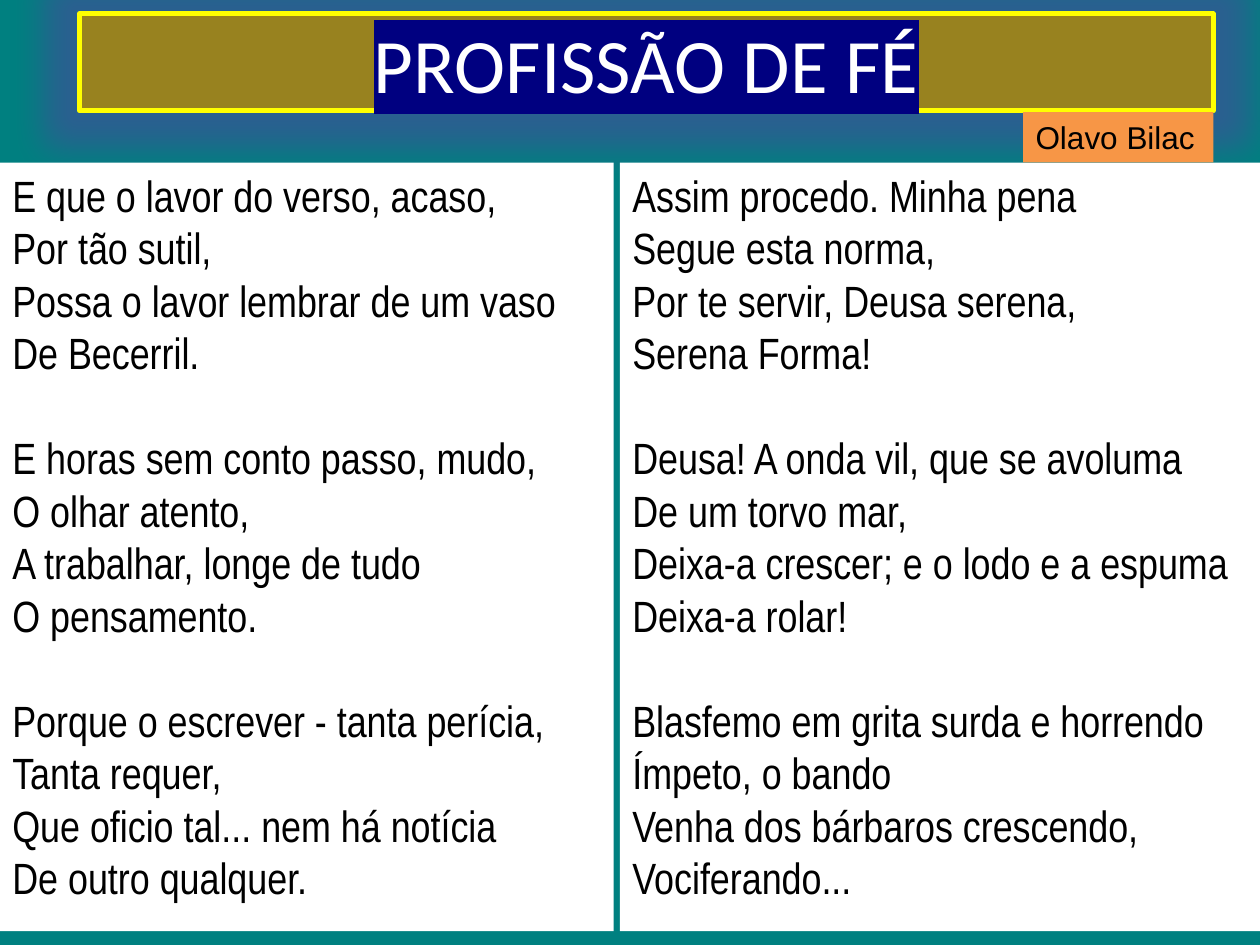
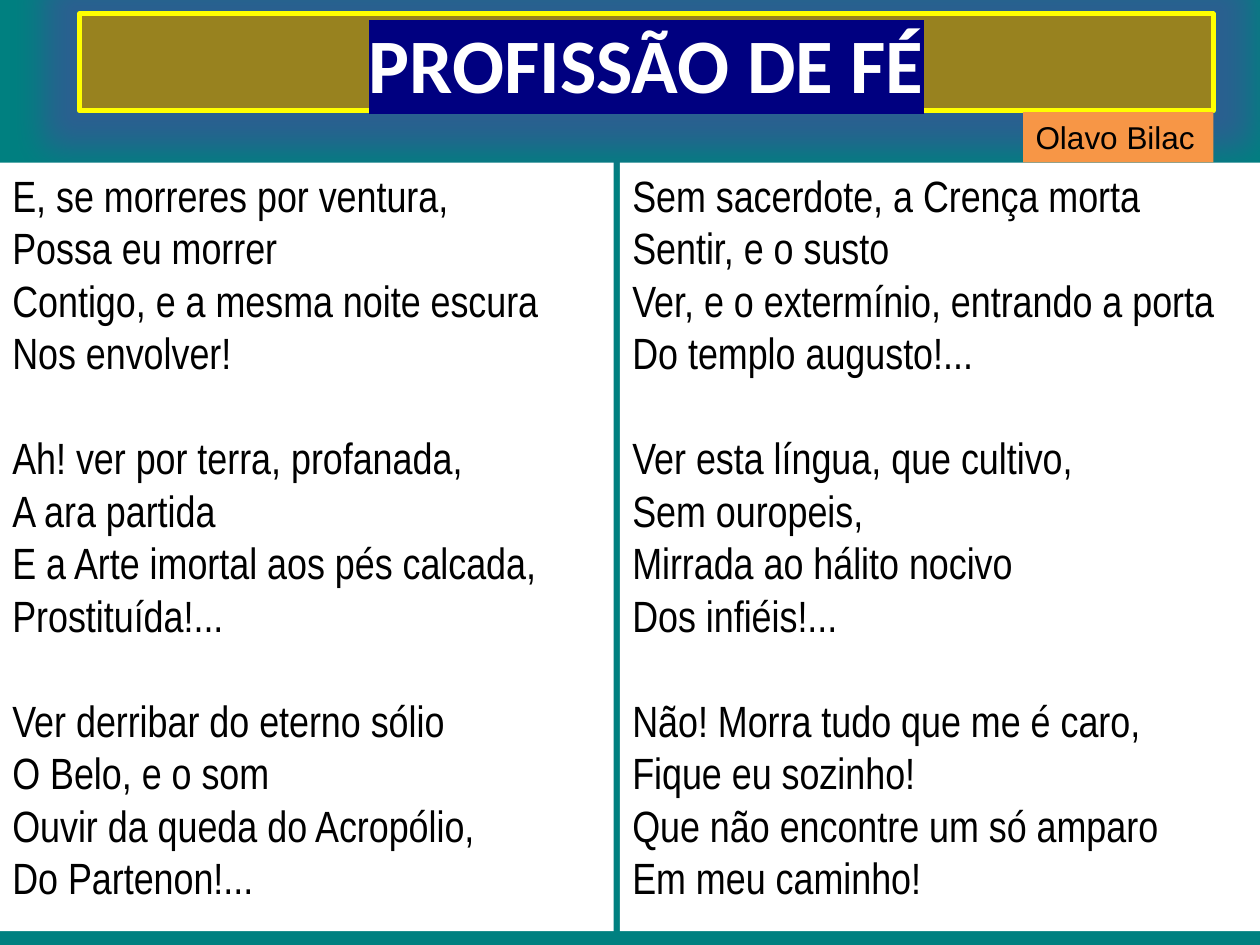
"""Builds two slides of the poem Profissão de Fé in two columns."""
from dataclasses import dataclass

from lxml.etree import SubElement
from pptx import Presentation
from pptx.dml.color import RGBColor as RGB
from pptx.enum.text import MSO_ANCHOR as Anchor, MSO_AUTO_SIZE as AutoSize, PP_ALIGN as Align
from pptx.oxml.ns import qn
from pptx.util import Pt


@dataclass(frozen=True)
class Theme:
    """Colours, fonts and type sizes shared by the slides."""
    back: str = "008080"
    band: str = "B88C00"
    band_alpha: int = 78
    border: str = "FFFF00"
    glow: str = "2A6090"
    highlight: str = "000080"
    light: str = "FFFFFF"
    dark: str = "000000"
    label: str = "F79646"
    title_font: str = "Calibri"
    verse_font: str = "Arial Narrow"
    label_font: str = "Arial"
    title_size: int = 44
    verse_size: int = 25
    label_size: int = 18
    verse_pitch: int = 30


THEME = Theme()
TITLE = "PROFISSÃO DE FÉ"
AUTHOR = "Olavo Bilac"
TITLE_BOX = (45.36, 7.92, 648, 55.44)
LABEL_BOX = (584.64, 64.08, 108.72, 28.8)
COLUMN_BOXES = ((0, 92.88, 350.64, 439.2), (354.24, 92.88, 365.76, 439.2))

SLIDES = (
    (False, (
        (("E que o lavor do verso, acaso,", "Por tão sutil,",
          "Possa o lavor lembrar de um vaso", "De Becerril."),
         ("E horas sem conto passo, mudo,", "O olhar atento,",
          "A trabalhar, longe de tudo", "O pensamento."),
         ("Porque o escrever - tanta perícia,", "Tanta requer,",
          "Que oficio tal... nem há notícia", "De outro qualquer.")),
        (("Assim procedo. Minha pena", "Segue esta norma,",
          "Por te servir, Deusa serena,", "Serena Forma!"),
         ("Deusa! A onda vil, que se avoluma", "De um torvo mar,",
          "Deixa-a crescer; e o lodo e a espuma", "Deixa-a rolar!"),
         ("Blasfemo em grita surda e horrendo", "Ímpeto, o bando",
          "Venha dos bárbaros crescendo,", "Vociferando...")),
    )),
    (True, (
        (("E, se morreres por ventura,", "Possa eu morrer",
          "Contigo, e a mesma noite escura", "Nos envolver!"),
         ("Ah! ver por terra, profanada,", "A ara partida",
          "E a Arte imortal aos pés calcada,", "Prostituída!..."),
         ("Ver derribar do eterno sólio", "O Belo, e o som",
          "Ouvir da queda do Acropólio,", "Do Partenon!...")),
        (("Sem sacerdote, a Crença morta", "Sentir, e o susto",
          "Ver, e o extermínio, entrando a porta", "Do templo augusto!..."),
         ("Ver esta língua, que cultivo,", "Sem ouropeis,",
          "Mirrada ao hálito nocivo", "Dos infiéis!..."),
         ("Não! Morra tudo que me é caro,", "Fique eu sozinho!",
          "Que não encontre um só amparo", "Em meu caminho!")),
    )),
)


def paint(fill, color):
    """Makes a fill solid in the given colour."""
    fill.solid()
    fill.fore_color.rgb = RGB.from_string(color)


def style(p, font, size, color, bold=False):
    """Sets the font of a whole paragraph."""
    f = p.font
    f.name, f.size, f.bold = font, Pt(size), bold
    f.color.rgb = RGB.from_string(color)


def add_color(parent, color):
    """Appends an RGB colour element and returns it."""
    return SubElement(parent, qn("a:srgbClr"), val=color)


def format_title(s, bold):
    """Places and dresses the title in its glowing, translucent band."""
    sp = s.shapes.title
    sp.left, sp.top, sp.width, sp.height = map(Pt, TITLE_BOX)
    paint(sp.fill, THEME.band)
    clr = sp.element.spPr.find(qn("a:solidFill"))[0]
    SubElement(clr, qn("a:alpha"), val=str(THEME.band_alpha * 1000))
    sp.line.color.rgb = RGB.from_string(THEME.border)
    sp.line.width = Pt(2.75)
    effects = SubElement(sp.element.spPr, qn("a:effectLst"))
    add_color(SubElement(effects, qn("a:glow"), rad=str(Pt(40))), THEME.glow)
    tf = sp.text_frame
    tf.auto_size, tf.vertical_anchor = AutoSize.NONE, Anchor.MIDDLE
    p = tf.paragraphs[0]
    p.alignment = Align.CENTER
    r = p.add_run()
    r.text = TITLE
    add_color(SubElement(r.font._element, qn("a:highlight")), THEME.highlight)
    style(p, THEME.title_font, THEME.title_size, THEME.light, bold)


def add_panel(s, box, color):
    """Adds a filled text box and returns its text frame."""
    sp = s.shapes.add_textbox(*map(Pt, box))
    paint(sp.fill, color)
    sp.text_frame.word_wrap = True
    return sp.text_frame


def add_column(s, box, stanzas):
    """Adds a column of stanzas set apart by one line of space."""
    tf = add_panel(s, box, THEME.light)
    tf.text = "\n".join(verse for stanza in stanzas for verse in stanza)
    starts = {sum(map(len, stanzas[:i])) for i in range(1, len(stanzas))}
    for i, p in enumerate(tf.paragraphs):
        p.line_spacing = Pt(THEME.verse_pitch)
        p.space_before = Pt(THEME.verse_pitch if i in starts else 0)
        style(p, THEME.verse_font, THEME.verse_size, THEME.dark)


def add_author(s):
    """Adds the author's label below the title band."""
    tf = add_panel(s, LABEL_BOX, THEME.label)
    tf.auto_size = AutoSize.SHAPE_TO_FIT_TEXT
    tf.text = AUTHOR
    style(tf.paragraphs[0], THEME.label_font, THEME.label_size, THEME.dark)


def main():
    """Builds and saves the presentation."""
    prs = Presentation()
    prs.slide_width, prs.slide_height = Pt(720), Pt(540)
    title_only = prs.slide_layouts[5]
    for bold, columns in SLIDES:
        s = prs.slides.add_slide(title_only)
        paint(s.background.fill, THEME.back)
        format_title(s, bold)
        for box, stanzas in zip(COLUMN_BOXES, columns):
            add_column(s, box, stanzas)
        add_author(s)
    prs.save("out.pptx")


if __name__ == "__main__":
    main()
